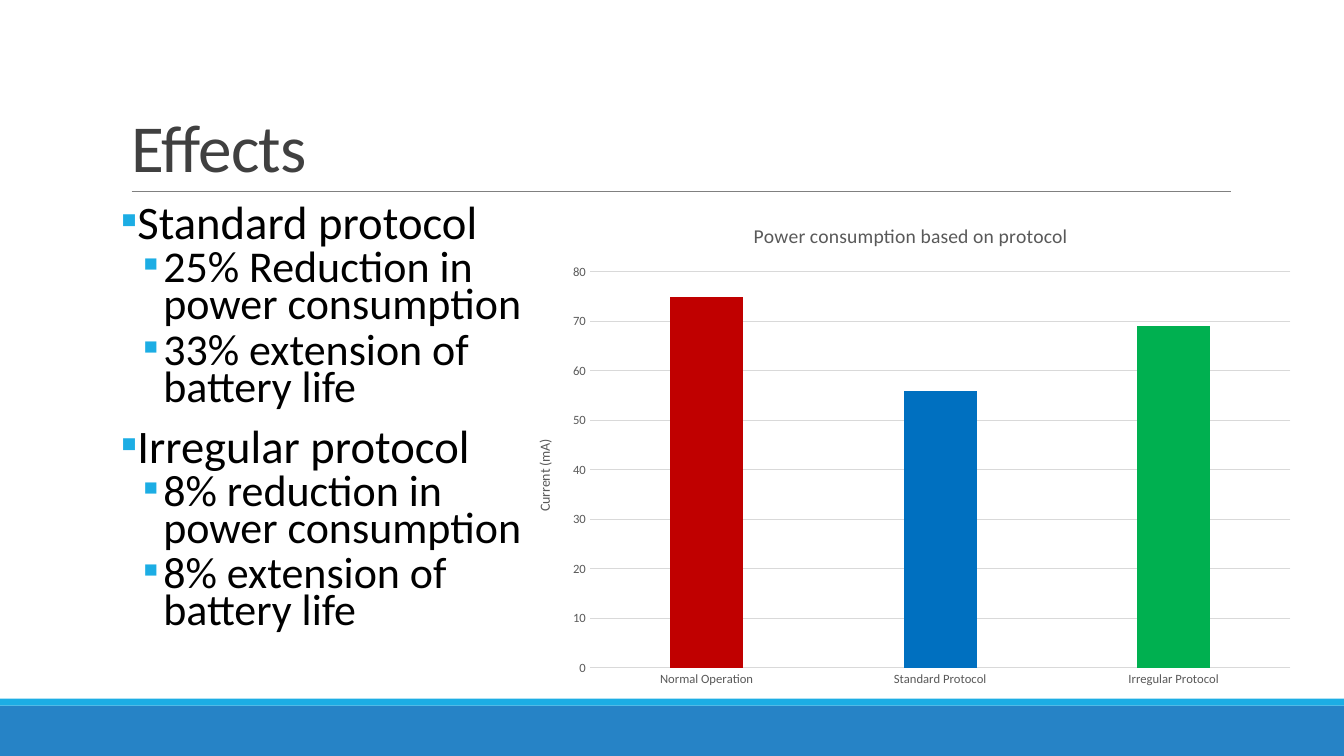
"""Build the Effects slide: protocol findings beside a power consumption chart."""
from dataclasses import dataclass

import lxml.etree
import pptx
import pptx.chart.data
import pptx.dml.color
import pptx.enum.chart
import pptx.enum.shapes
import pptx.enum.text
import pptx.oxml.ns
import pptx.util

Pt = pptx.util.Pt
qn = pptx.oxml.ns.qn


@dataclass(frozen=True)
class Theme:
    font: str = "Calibri"
    band: str = "2683C6"
    accent: str = "1CADE4"
    rule: str = "808080"
    title: str = "404040"
    text: str = "000000"
    label: str = "595959"
    grid: str = "D9D9D9"
    title_size: float = 48
    topic_size: float = 33.3
    detail_size: float = 31.4
    chart_title_size: float = 14
    axis_title_size: float = 10
    tick_size: float = 9


def rgb(color):
    return pptx.dml.color.RGBColor.from_string(color)


class SlideBuilder:
    def __init__(self, prs, theme):
        self.theme = theme
        self.slide = prs.slides.add_slide(prs.slide_layouts[5])

    def style(self, font, size, color):
        font.name = self.theme.font
        font.size = Pt(size)
        font.bold = False
        font.color.rgb = rgb(color)

    def run(self, p, text, size, color):
        r = p.add_run()
        r.text = text
        self.style(r.font, size, color)
        return r

    def rect(self, x, y, w, h, color):
        sp = self.slide.shapes.add_shape(
            pptx.enum.shapes.MSO_SHAPE.RECTANGLE, Pt(x), Pt(y), Pt(w), Pt(h))
        sp.shadow.inherit = False
        sp.fill.solid()
        sp.fill.fore_color.rgb = rgb(color)
        sp.line.fill.background()

    def line(self, x1, y1, x2, y2, color, width):
        cxn = self.slide.shapes.add_connector(
            pptx.enum.shapes.MSO_CONNECTOR.STRAIGHT, Pt(x1), Pt(y1), Pt(x2), Pt(y2))
        cxn.line.color.rgb = rgb(color)
        cxn.line.width = Pt(width)
        lxml.etree.SubElement(cxn._element.spPr, qn("a:effectLst"))

    def title(self, text, x, y, w, h):
        sp = self.slide.shapes.title
        sp.left, sp.top, sp.width, sp.height = Pt(x), Pt(y), Pt(w), Pt(h)
        tf = sp.text_frame
        tf.auto_size = pptx.enum.text.MSO_AUTO_SIZE.NONE
        tf.vertical_anchor = pptx.enum.text.MSO_ANCHOR.BOTTOM
        p = tf.paragraphs[0]
        p.alignment = pptx.enum.text.PP_ALIGN.LEFT
        p.line_spacing = 0.85
        r = self.run(p, text, self.theme.title_size, self.theme.title)
        r.font._element.set("spc", "-50")

    def bullet(self, p, margin, hanging):
        pPr = p._p.get_or_add_pPr()
        pPr.set("marL", str(Pt(margin)))
        pPr.set("indent", str(-Pt(hanging)))
        color = lxml.etree.SubElement(pPr, qn("a:buClr"))
        lxml.etree.SubElement(color, qn("a:srgbClr")).set("val", self.theme.accent)
        lxml.etree.SubElement(pPr, qn("a:buFont")).set("typeface", self.theme.font)
        lxml.etree.SubElement(pPr, qn("a:buChar")).set("char", "▪")

    def bullets(self, items, x, y, w, h):
        tf = self.slide.shapes.add_textbox(Pt(x), Pt(y), Pt(w), Pt(h)).text_frame
        tf.word_wrap = True
        tf.margin_left = tf.margin_right = 0
        for i, (level, text) in enumerate(items):
            p = tf.paragraphs[0] if i == 0 else tf.add_paragraph()
            p.level = level
            self.bullet(p, *((30.24, 14.4) if level else (7.2, 7.2)))
            p.line_spacing = 0.7
            p.space_before = Pt(0 if i == 0 else 2 if level else 12)
            p.space_after = Pt(4 if level else 2)
            size = self.theme.detail_size if level else self.theme.topic_size
            for j, part in enumerate(text.split("\n")):
                if j:
                    p.add_line_break()
                self.run(p, part, size, self.theme.text)

    def column_chart(self, title, unit, values, colors, x, y, w, h):
        t = self.theme
        data = pptx.chart.data.CategoryChartData()
        data.categories = list(values)
        data.add_series("Series 1", list(values.values()))
        chart = self.slide.shapes.add_chart(
            pptx.enum.chart.XL_CHART_TYPE.COLUMN_CLUSTERED,
            Pt(x), Pt(y), Pt(w), Pt(h), data).chart
        self.style(chart.font, t.axis_title_size, t.text)
        chart.has_legend = False
        chart.has_title = True
        chart.chart_title.include_in_layout = False
        self.run(chart.chart_title.text_frame.paragraphs[0], title,
                 t.chart_title_size, t.label)

        plot = chart.plots[0]
        plot.gap_width = 219
        plot.overlap = -27
        plot.vary_by_categories = False
        series = plot.series[0]
        series.format.fill.solid()
        series.format.fill.fore_color.rgb = rgb(t.accent)
        for i, color in enumerate(colors):
            fill = series.points[i].format.fill
            fill.solid()
            fill.fore_color.rgb = rgb(color)

        cat, val = chart.category_axis, chart.value_axis
        for axis in (cat, val):
            axis.major_tick_mark = axis.minor_tick_mark = pptx.enum.chart.XL_TICK_MARK.NONE
            self.style(axis.tick_labels.font, t.tick_size, t.label)
        val.minimum_scale = 0
        val.major_unit = 10
        val.has_major_gridlines = True
        val.format.line.fill.background()
        for line in (cat.format.line, val.major_gridlines.format.line):
            line.color.rgb = rgb(t.grid)
            line.width = Pt(0.75)
        val.has_title = True
        self.run(val.axis_title.text_frame.paragraphs[0], unit,
                 t.axis_title_size, t.label)


def main():
    prs = pptx.Presentation()
    prs.slide_width, prs.slide_height = Pt(960), Pt(540)
    theme = Theme()
    s = SlideBuilder(prs, theme)
    s.rect(0, 504, 960, 36, theme.band)
    s.rect(0, 499, 960, 5, theme.accent)
    s.line(94, 136.8, 879, 136.8, theme.rule, 0.5)
    s.title("Effects", 86.4, 22.6, 792, 114.2)
    s.bullets([
        (0, "Standard protocol"),
        (1, "25% Reduction in power consumption"),
        (1, "33% extension of battery life"),
        (0, "Irregular protocol"),
        (1, "8% reduction in\npower consumption"),
        (1, "8% extension of battery life"),
    ], 86.4, 145.4, 316, 316.8)
    s.column_chart(
        "Power consumption based on protocol", "Current (mA)",
        {"Normal Operation": 75, "Standard Protocol": 56, "Irregular Protocol": 69},
        ["C00000", "0070C0", "00B050"], 368, 145.4, 565, 352)
    prs.save("out.pptx")


if __name__ == "__main__":
    main()
